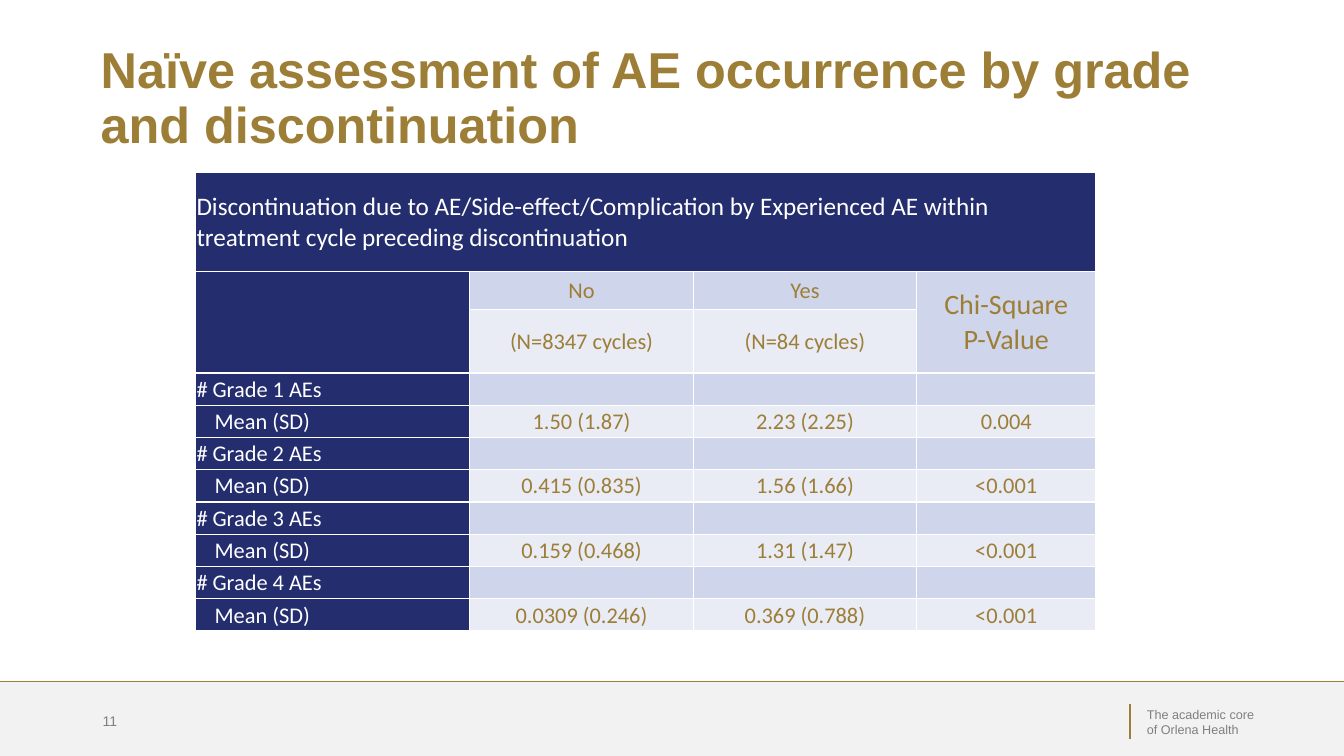
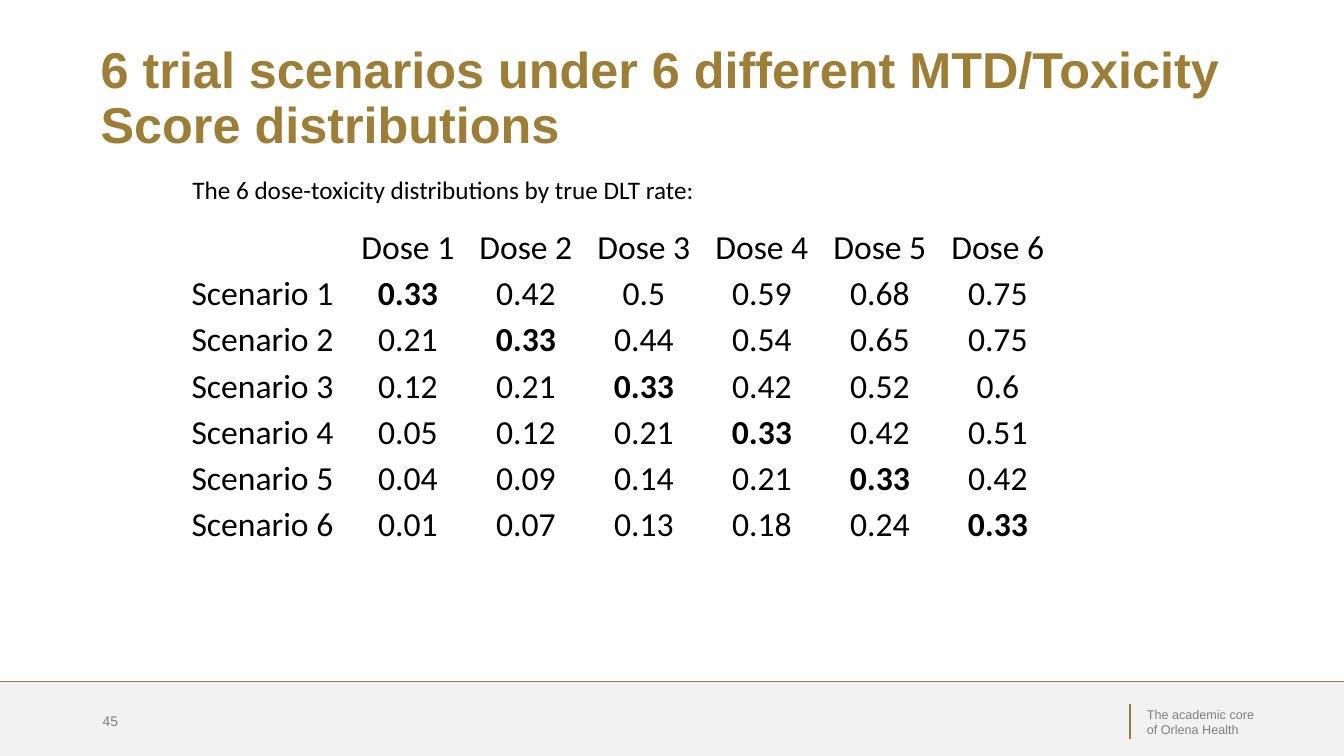
"""Build two trial-result slides with tables on a shared frame."""
from lxml import etree
from pptx import Presentation
from pptx import util as u
from pptx.dml.color import RGBColor
from pptx.enum import shapes, text
from pptx.oxml.ns import qn

W, H = u.Inches(13.333), u.Inches(7.5)
GOLD = RGBColor(0x9D, 0x7E, 0x37)
NAVY = RGBColor(0x24, 0x2D, 0x6E)
BAND_DARK = RGBColor(0xCF, 0xD5, 0xEA)
BAND_LIGHT = RGBColor(0xE9, 0xEB, 0xF5)
PANEL = RGBColor(0xF2, 0xF2, 0xF2)
GREY = RGBColor(0x80, 0x80, 0x80)
WHITE = RGBColor(0xFF, 0xFF, 0xFF)
BLACK = RGBColor(0, 0, 0)
LEFT, CENTER = text.PP_ALIGN.LEFT, text.PP_ALIGN.CENTER
TOP, MIDDLE, BOTTOM = text.MSO_ANCHOR.TOP, text.MSO_ANCHOR.MIDDLE, text.MSO_ANCHOR.BOTTOM
FOOTER_TOP = 90.13

AE_ROWS = [
    ("# Grade 1 AEs", "", "", ""),
    ("Mean (SD)", "1.50 (1.87)", "2.23 (2.25)", "0.004"),
    ("# Grade 2 AEs", "", "", ""),
    ("Mean (SD)", "0.415 (0.835)", "1.56 (1.66)", "<0.001"),
    ("# Grade 3 AEs", "", "", ""),
    ("Mean (SD)", "0.159 (0.468)", "1.31 (1.47)", "<0.001"),
    ("# Grade 4 AEs", "", "", ""),
    ("Mean (SD)", "0.0309 (0.246)", "0.369 (0.788)", "<0.001"),
]
DLT_RATES = [
    (0.33, 0.42, 0.5, 0.59, 0.68, 0.75),
    (0.21, 0.33, 0.44, 0.54, 0.65, 0.75),
    (0.12, 0.21, 0.33, 0.42, 0.52, 0.6),
    (0.05, 0.12, 0.21, 0.33, 0.42, 0.51),
    (0.04, 0.09, 0.14, 0.21, 0.33, 0.42),
    (0.01, 0.07, 0.13, 0.18, 0.24, 0.33),
]


def across(share):
    """Turn a percentage of the slide width into a length."""
    return int(W * share / 100)


def down(share):
    """Turn a percentage of the slide height into a length."""
    return int(H * share / 100)


def box(left, top, width, height):
    """Turn percentages of the slide into a position and size."""
    return across(left), down(top), across(width), down(height)


def style(tf, size, color, font, bold=False, align=LEFT):
    """Format every paragraph and run of a text frame."""
    for p in tf.paragraphs:
        p.alignment = align
        for r in p.runs:
            r.font.size, r.font.name, r.font.bold = u.Pt(size), font, bold
            r.font.color.rgb = color
        if not p.runs:
            p._p.get_or_add_endParaRPr().set("sz", str(size * 100))


def add_text(s, words, place, size, color, font="Arial", bold=False, anchor=TOP):
    """Add a wrapping text box and return its text frame."""
    tf = s.shapes.add_textbox(*box(*place)).text_frame
    tf.text = words
    tf.word_wrap = True
    tf.vertical_anchor = anchor
    style(tf, size, color, font, bold)
    return tf


def add_rule(s, x1, y1, x2, y2):
    """Add a thin gold line."""
    line = s.shapes.add_connector(
        shapes.MSO_CONNECTOR.STRAIGHT, across(x1), down(y1), across(x2), down(y2))
    line.line.color.rgb = GOLD
    line.line.width = u.Pt(0.75)
    etree.SubElement(line._element.spPr, qn("a:effectLst"))


def add_frame(prs, title, number):
    """Add a slide with its title, footer band and slide number."""
    s = prs.slides.add_slide(prs.slide_layouts[6])
    band = s.shapes.add_shape(
        shapes.MSO_SHAPE.RECTANGLE, *box(0, FOOTER_TOP, 100, 100 - FOOTER_TOP))
    band.shadow.inherit = False
    band.fill.solid()
    band.fill.fore_color.rgb = PANEL
    band.line.fill.background()
    add_rule(s, 0, FOOTER_TOP, 100, FOOTER_TOP)
    add_text(s, "The academic core of Orlena Health", (84.6, 92.8, 10.28, 5.33), 9, GREY)
    add_rule(s, 84.08, 93.07, 84.08, 97.73)
    tf = add_text(s, title, (6.75, 5.33, 86.25, 17.07), 36, GOLD, bold=True)
    tf.paragraphs[0].line_spacing = 0.9
    add_text(s, str(number), (6.9, 92.67, 22.5, 5.33), 10, GREY, anchor=MIDDLE)
    return s


def add_grid(s, left, top, cols, rows):
    """Add an unbanded table with the given column and row shares."""
    place = box(left, top, sum(cols), sum(rows))
    table = s.shapes.add_table(len(rows), len(cols), *place).table
    table.first_row = table.horz_banding = False
    for column, share in zip(table.columns, cols):
        column.width = across(share)
    for row, share in zip(table.rows, rows):
        row.height = down(share)
    return table


def add_borders(cell):
    """Give a cell thin white borders."""
    tcPr = cell._tc.get_or_add_tcPr()
    for side in ("a:lnL", "a:lnR", "a:lnT", "a:lnB"):
        ln = etree.SubElement(tcPr, qn(side), w=str(u.Pt(1)))
        fill = etree.SubElement(ln, qn("a:solidFill"))
        etree.SubElement(fill, qn("a:srgbClr"), val=str(WHITE))


def fill_cell(cell, words, size, color, fill=None, align=CENTER, anchor=MIDDLE,
              bold=False, indent=0.01):
    """Write and format one table cell."""
    cell.text = words
    cell.margin_left = u.Inches(indent)
    cell.margin_top = cell.margin_right = u.Inches(0.01)
    cell.margin_bottom = 0
    cell.vertical_anchor = anchor
    style(cell.text_frame, size, color, "Calibri", bold, align)
    if fill is None:
        cell.fill.background()
    else:
        add_borders(cell)
        cell.fill.solid()
        cell.fill.fore_color.rgb = fill


def add_ae_table(s):
    """Add the adverse-event table with its merged header cells."""
    heading = ("Discontinuation due to AE/Side-effect/Complication by Experienced AE "
               "within treatment cycle preceding discontinuation")
    content = [
        (heading, "", "", ""),
        ("", "No", "Yes", "Chi-Square\nP-Value"),
        ("", "(N=8347 cycles)", "(N=84 cycles)", ""),
        *AE_ROWS,
    ]
    table = add_grid(s, 14.55, 22.8, [20.4, 16.65, 16.6, 13.35],
                     [13.07, 5.07, 8.4] + [4.27] * len(AE_ROWS))
    for i, row in enumerate(content):
        for j, words in enumerate(row):
            cell = table.cell(i, j)
            if i == 0 or j == 0:
                indent = 0.19 if words == "Mean (SD)" else 0.01
                fill_cell(cell, words, 16 if i else 18, WHITE, NAVY, LEFT, indent=indent)
            else:
                size = 20 if words.startswith("Chi") else 16
                fill_cell(cell, words, size, GOLD, BAND_DARK if i % 2 else BAND_LIGHT)
    table.cell(0, 0).merge(table.cell(0, 3))
    for j in (0, 3):
        table.cell(1, j).merge(table.cell(2, j))


def add_dose_table(s):
    """Add the dose-toxicity table with the target dose in bold."""
    doses = len(DLT_RATES[0])
    content = [["", *(f"Dose {n + 1}" for n in range(doses))]]
    content += [[f"Scenario {n}", *map(str, rates)] for n, rates in enumerate(DLT_RATES, 1)]
    table = add_grid(s, 14.18, 30, [11.78] + [8.78] * doses,
                     [5.07] + [6.13] * len(DLT_RATES))
    for i, row in enumerate(content):
        for j, words in enumerate(row):
            fill_cell(table.cell(i, j), words, 24, BLACK, align=CENTER if j else LEFT,
                      anchor=BOTTOM, bold=i == j)


def main():
    """Build and save the presentation."""
    prs = Presentation()
    prs.slide_width, prs.slide_height = W, H
    s = add_frame(prs, "Naïve assessment of AE occurrence by grade and discontinuation", 11)
    add_ae_table(s)
    s = add_frame(
        prs, "6 trial scenarios under 6 different MTD/Toxicity Score distributions", 45)
    add_dose_table(s)
    add_text(s, "The 6 dose-toxicity distributions by true DLT rate:",
             (13.58, 22.4, 61.95, 5.33), 18, BLACK, "Calibri")
    prs.save("out.pptx")


if __name__ == "__main__":
    main()
